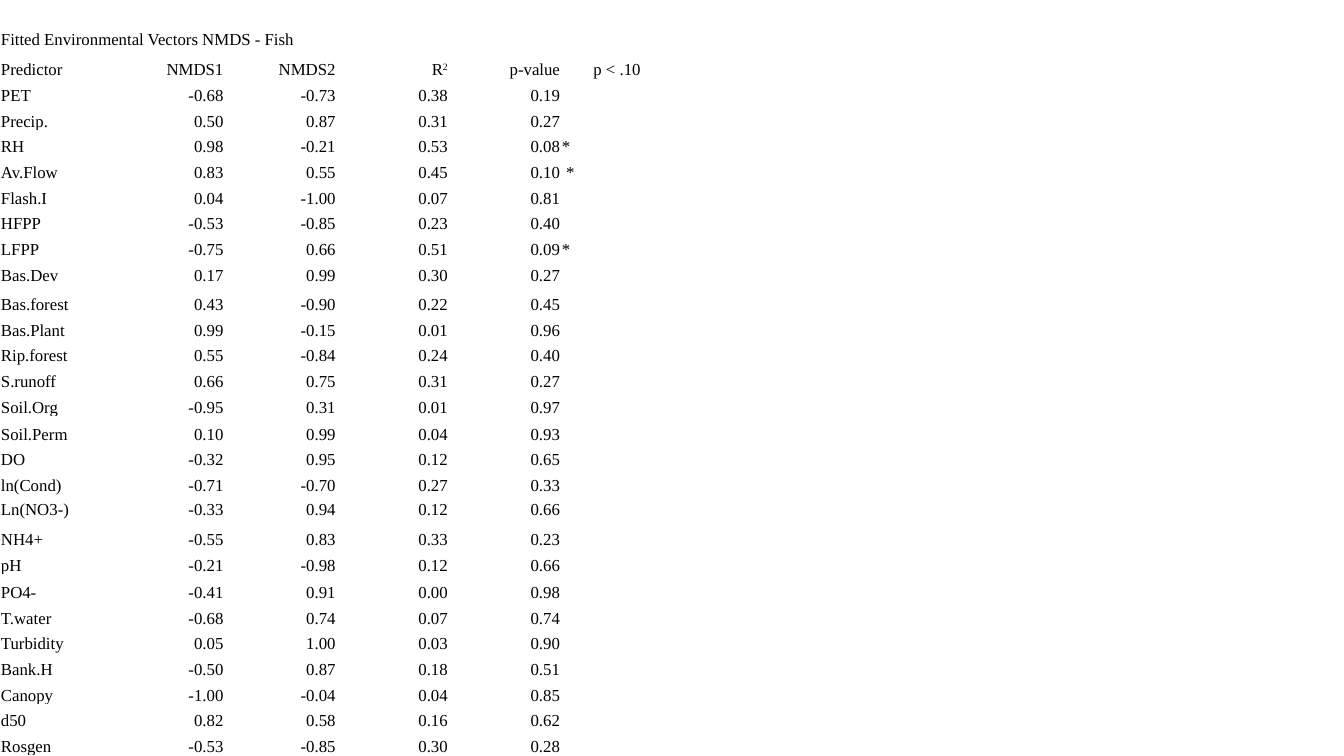
from dataclasses import dataclass

from lxml.etree import SubElement
from pptx import Presentation
from pptx.dml.color import RGBColor as RGB
from pptx.enum.text import MSO_ANCHOR as Anchor, PP_ALIGN as Align
from pptx.oxml.ns import qn
from pptx.util import Pt

TITLE = "Fitted Environmental Vectors NMDS - Fish"
HEAD = ("Predictor", "NMDS1", "NMDS2", "R2", "p-value", "p < .10")
ROWS = [
    ("PET", "-0.68", "-0.73", "0.38", "0.19", ""),
    ("Precip.", "0.50", "0.87", "0.31", "0.27", ""),
    ("RH", "0.98", "-0.21", "0.53", "0.08", "*"),
    ("Av.Flow", "0.83", "0.55", "0.45", "0.10", " *"),
    ("Flash.I", "0.04", "-1.00", "0.07", "0.81", ""),
    ("HFPP", "-0.53", "-0.85", "0.23", "0.40", ""),
    ("LFPP", "-0.75", "0.66", "0.51", "0.09", "*"),
    ("Bas.Dev", "0.17", "0.99", "0.30", "0.27", ""),
    ("Bas.forest", "0.43", "-0.90", "0.22", "0.45", ""),
    ("Bas.Plant", "0.99", "-0.15", "0.01", "0.96", ""),
    ("Rip.forest", "0.55", "-0.84", "0.24", "0.40", ""),
    ("S.runoff", "0.66", "0.75", "0.31", "0.27", ""),
    ("Soil.Org", "-0.95", "0.31", "0.01", "0.97", ""),
    ("Soil.Perm", "0.10", "0.99", "0.04", "0.93", ""),
    ("DO", "-0.32", "0.95", "0.12", "0.65", ""),
    ("ln(Cond)", "-0.71", "-0.70", "0.27", "0.33", ""),
    ("Ln(NO3-)", "-0.33", "0.94", "0.12", "0.66", ""),
    ("NH4+", "-0.55", "0.83", "0.33", "0.23", ""),
    ("pH", "-0.21", "-0.98", "0.12", "0.66", ""),
    ("PO4-", "-0.41", "0.91", "0.00", "0.98", ""),
    ("T.water", "-0.68", "0.74", "0.07", "0.74", ""),
    ("Turbidity", "0.05", "1.00", "0.03", "0.90", ""),
    ("Bank.H", "-0.50", "0.87", "0.18", "0.51", ""),
    ("Canopy", "-1.00", "-0.04", "0.04", "0.85", ""),
    ("d50", "0.82", "0.58", "0.16", "0.62", ""),
    ("Rosgen", "-0.53", "-0.85", "0.30", "0.28", ""),
]
GRID = [(TITLE, "", "", "", "", ""), HEAD, *ROWS]

WIDE, HIGH = 960, 540
COL = 80.15
ROW = 18.35
# Heights of the rows that differ from ROW, by row label
TALL = {TITLE: 35.3, "Predictor": 21.5, "Bas.forest": 20.9, "Soil.Perm": 19.4,
        "Ln(NO3-)": 17.3, "NH4+": 21.2, "PO4-": 19.4}


@dataclass
class Theme:
    font: str = "Times New Roman"
    size: int = 12
    ink: RGB = RGB(0, 0, 0)
    inset: float = 0.7


THEME = Theme()


def side(row, col):
    if col == 0:
        return Align.LEFT
    if col < len(HEAD) - 1:
        return Align.RIGHT
    return Align.CENTER if row == 1 else Align.LEFT


def fill_cell(cell, text, align):
    cell.fill.background()
    cell.vertical_anchor = Anchor.BOTTOM
    cell.margin_left = cell.margin_right = cell.margin_top = Pt(THEME.inset)
    cell.margin_bottom = 0
    para = cell.text_frame.paragraphs[0]
    para.alignment = align
    if not text:
        # An empty cell must not make its row taller
        SubElement(para._p, qn("a:endParaRPr")).set("sz", str(THEME.size * 100))
        return
    for part in ("R", "2") if text == "R2" else (text,):
        run = para.add_run()
        run.text = part
        run.font.name = THEME.font
        run.font.size = Pt(THEME.size)
        run.font.color.rgb = THEME.ink
        if part == "2":
            run.font._element.set("baseline", "30000")


def main():
    deck = Presentation()
    deck.slide_width, deck.slide_height = Pt(WIDE), Pt(HIGH)
    slide = deck.slides.add_slide(deck.slide_layouts[6])
    frame = slide.shapes.add_table(len(GRID), len(HEAD), 0, 0,
                                   Pt(COL * len(HEAD)), Pt(HIGH))
    table = frame.table
    table.first_row = table.horz_banding = False
    for col in table.columns:
        col.width = Pt(COL)
    for r, line in enumerate(GRID):
        table.rows[r].height = Pt(TALL.get(line[0], ROW))
        for c, text in enumerate(line):
            fill_cell(table.cell(r, c), text, side(r, c))
    table.cell(0, 0).merge(table.cell(0, 3))
    deck.save("out.pptx")


if __name__ == "__main__":
    main()
